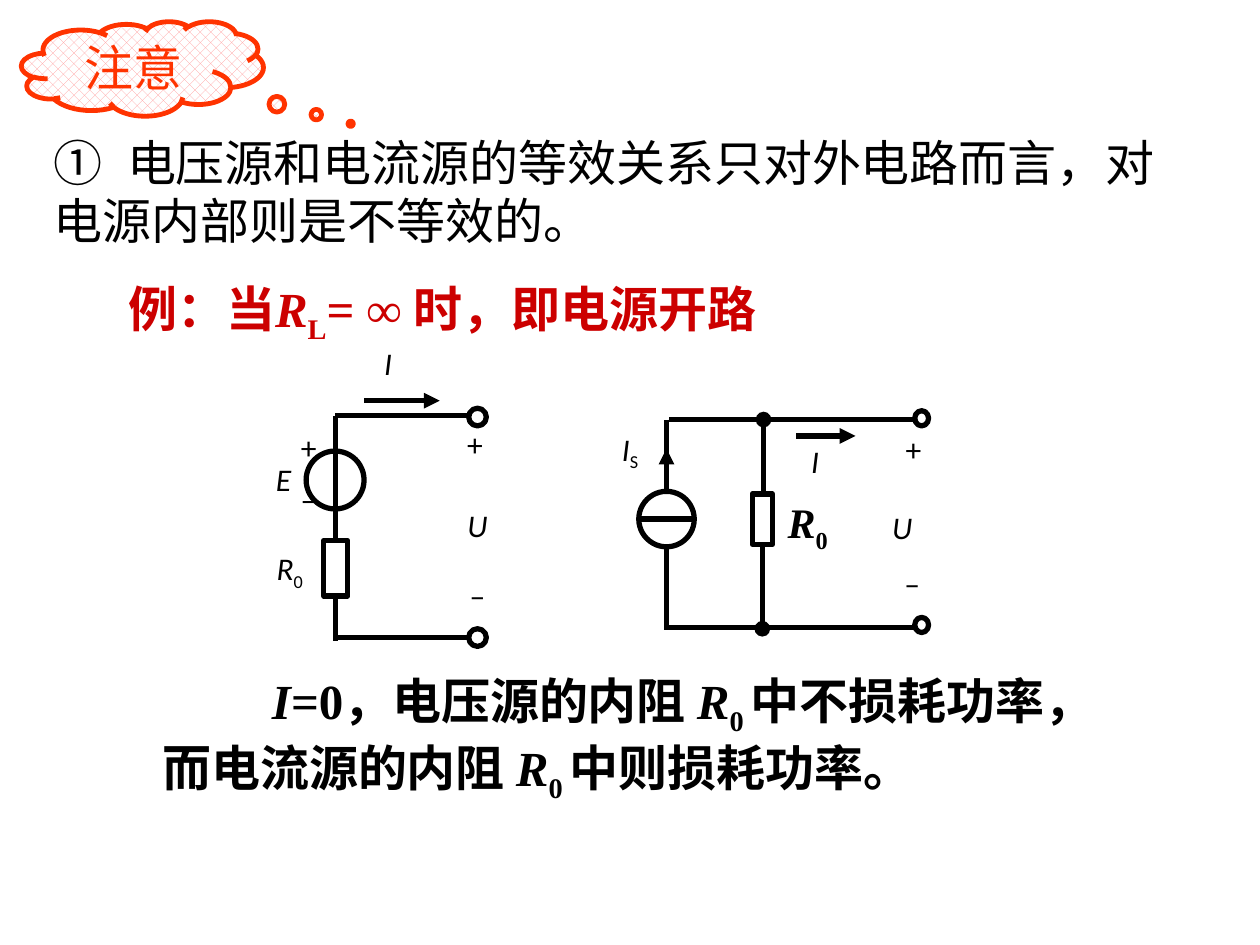
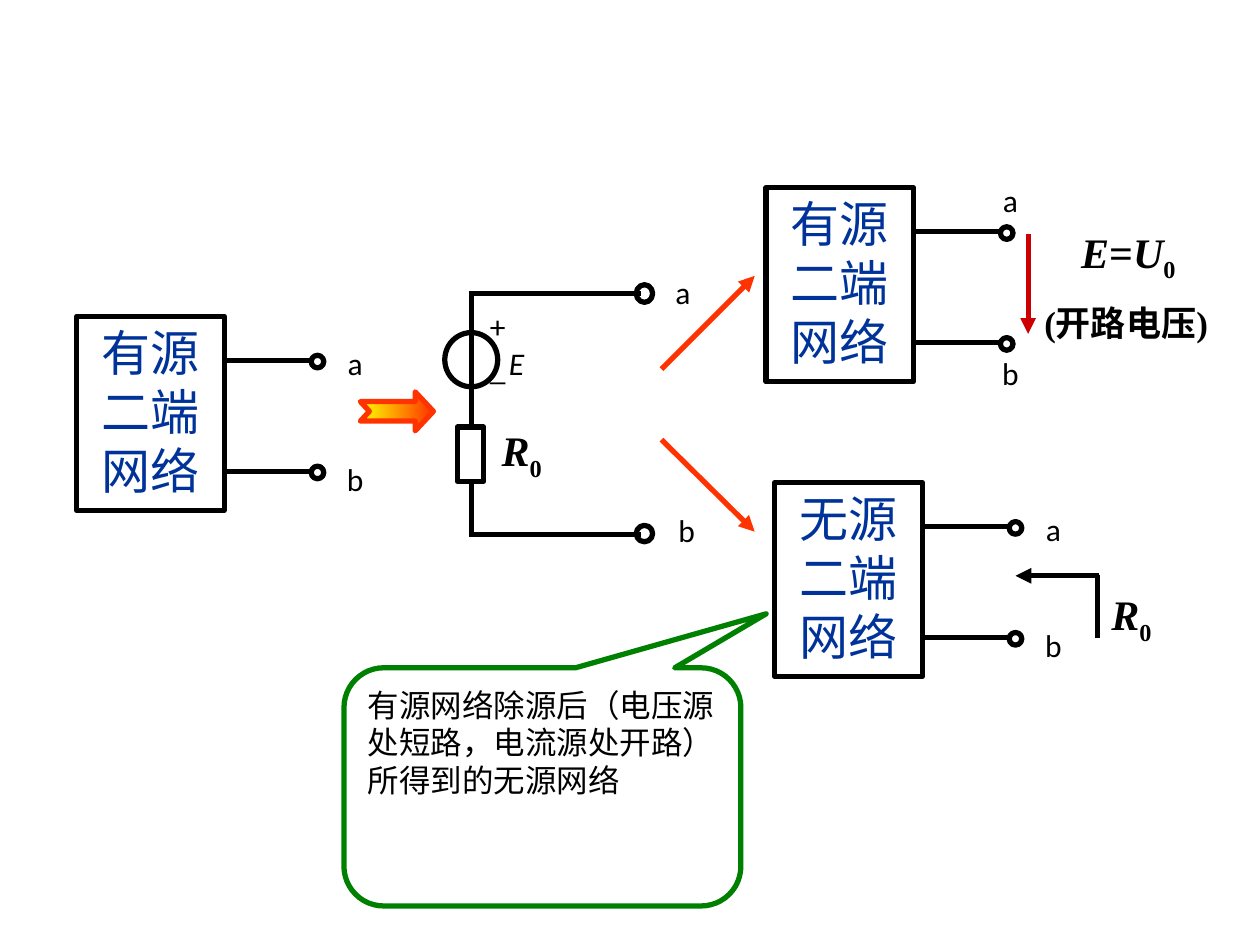
from lxml.etree import SubElement
from pptx import Presentation
from pptx.dml.color import RGBColor
from pptx.enum.dml import MSO_PATTERN
from pptx.enum.shapes import MSO_CONNECTOR, MSO_SHAPE
from pptx.enum.text import MSO_ANCHOR, PP_ALIGN
from pptx.oxml.ns import qn
from pptx.util import Inches, Pt

COLORS = {"black": "000000", "white": "FFFFFF", "red": "CC0000", "orange": "FF3300",
          "pink": "FF9999", "yellow": "FFFF00", "blue": "003399", "green": "008000"}
SANS, SERIF, CHINESE = "Calibri", "Times New Roman", "Noto Sans CJK SC"

R0 = [("R", "italic"), ("0", "sub")]
U = [("U", "italic")]
E = [("E", "italic")]
I = [("I", "italic")]
BIG = {"size": 24, "font": SERIF, "bold": True}

RULE = "①\t电压源和电流源的等效关系只对外电路而言，对电源内部则是不等效的。"
EXAMPLE = [("例：当", ""), ("R", "italic"), ("L", "sub"), ("= ∞ 时，即电源开路", "")]
CONCLUSION = [("I", "italic"), ("=0，电压源的内阻 ", ""), ("R", "italic"), ("0 ", "sub"),
              ("中不损耗功率，而电流源的内阻 ", ""), ("R", "italic"), ("0 ", "sub"),
              ("中则损耗功率。", "")]
CALLOUT = "有源网络除源后（电压源处短路，电流源处开路）所得到的无源网络"

EQUIVALENCE = {
    "wires": [
        (2.66, 3.3, 2.66, 4.29), (2.66, 4.72, 2.66, 5.09), (2.66, 3.3, 3.72, 3.3),
        (2.66, 5.06, 3.74, 5.06), (5.31, 3.33, 7.26, 3.33), (5.29, 4.98, 7.27, 4.98),
        (5.29, 3.33, 5.29, 3.89), (5.07, 4.12, 5.5, 4.12), (5.29, 4.33, 5.29, 5),
    ],
    "arrows": [
        (2.89, 3.18, 3.49, 3.18, "triangle"), (6.32, 3.46, 6.79, 3.46, "triangle"),
        (5.29, 3.72, 5.29, 3.56, "triangle"), (6.05, 4.31, 6.05, 4.99, "oval"),
        (6.06, 3.92, 6.06, 3.33, "oval"),
    ],
    "circles": [
        (2.43, 3.58, 0.46, 0.46), (3.72, 4.99, 0.14, 0.14), (3.72, 3.24, 0.14, 0.14),
        (7.26, 3.26, 0.11, 0.12), (7.26, 4.9, 0.11, 0.12), (5.07, 3.9, 0.44, 0.44),
    ],
    "resistors": [(2.57, 4.29, 0.19, 0.44), (5.97, 3.92, 0.16, 0.4)],
    "symbols": [
        (R0, 2.3, 4.53), ("+", 2.45, 3.55), ("−", 2.45, 3.97), (E, 2.25, 3.8),
        (U, 3.79, 4.17), ("+", 3.77, 3.52), ("–", 3.79, 4.72), (I, 3.08, 2.88),
        (U, 7.16, 4.18), ("+", 7.25, 3.56), ("–", 7.24, 4.63), (I, 6.47, 3.66),
        ([("I", "italic"), ("S", "sub")], 5, 3.58),
    ],
    "big_symbols": [(R0, 6.41, 4.17)],
}
THEVENIN = {
    "wires": [
        (3.72, 2.33, 5.09, 2.33), (3.74, 2.31, 3.74, 3.39), (3.74, 3.82, 3.74, 4.25),
        (3.72, 4.24, 5.09, 4.24), (8.71, 4.56, 8.71, 5.06),
    ],
    "arrows": [(8.72, 4.57, 8.06, 4.57, "triangle")],
    "circles": [(5.05, 2.26, 0.13, 0.14), (3.53, 2.64, 0.42, 0.43), (5.05, 4.17, 0.13, 0.13)],
    "resistors": [(3.63, 3.39, 0.21, 0.43)],
    "symbols": [("+", 3.95, 2.59), ("_", 3.95, 2.92), (E, 4.1, 2.88),
                ("a", 5.42, 2.32), ("b", 5.45, 4.21)],
    "big_symbols": [(R0, 4.14, 3.6), (R0, 8.98, 4.9)],
}
BESIDE = ((2.21, 0.37), (2.21, 1.29))
ABOVE_AND_BELOW = ((1.94, 0.1), (1.94, 1.47))
NETWORKS = [
    ("有源二端网络", 0.61, 2.51, BESIDE),
    ("无源二端网络", 6.15, 3.83, BESIDE),
    ("有源二端网络", 6.08, 1.49, ABOVE_AND_BELOW),
]
COLORED_ARROWS = [(5.25, 2.93, 5.99, 2.19, "orange"), (5.25, 3.49, 5.99, 4.22, "orange"),
                  (8.16, 1.86, 8.16, 2.65, "red")]


def rgb(name):
    return RGBColor.from_string(COLORS[name])


def write(paragraph, content, size=18, font=SANS, color="black", bold=False,
          align=PP_ALIGN.LEFT, space=0):
    paragraph.alignment = align
    if space:
        paragraph.space_before = Pt(space)
    for text, style in [(content, "")] if isinstance(content, str) else content:
        run = paragraph.add_run()
        run.text = text
        run.font.size = Pt(size)
        run.font.name = font
        run.font.bold = bold
        run.font.italic = style == "italic"
        run.font.color.rgb = rgb(color)
        properties = run._r.get_or_add_rPr()
        SubElement(properties, qn("a:ea")).set("typeface", CHINESE)
        if style == "sub":
            properties.set("baseline", "-25000")


def add_text(slide, content, left, top, width, height, anchor=MSO_ANCHOR.TOP, wrap=True, **text_format):
    box = slide.shapes.add_textbox(Inches(left), Inches(top), Inches(width), Inches(height))
    frame = box.text_frame
    frame.word_wrap = wrap
    frame.vertical_anchor = anchor
    write(frame.paragraphs[0], content, **text_format)
    return frame


def add_symbol(slide, content, center_x, center_y, **text_format):
    width, height = 0.8, 0.5
    add_text(slide, content, center_x - width / 2, center_y - height / 2, width, height,
             anchor=MSO_ANCHOR.MIDDLE, wrap=False, align=PP_ALIGN.CENTER, **text_format)


def add_outline(slide, kind, left, top, width, height, color="black", weight=3, adjustments=()):
    shape = slide.shapes.add_shape(kind, Inches(left), Inches(top), Inches(width), Inches(height))
    shape.shadow.inherit = False
    shape.fill.background()
    shape.line.color.rgb = rgb(color)
    shape.line.width = Pt(weight)
    for index, value in enumerate(adjustments):
        shape.adjustments[index] = value
    shape.text_frame.vertical_anchor = MSO_ANCHOR.TOP
    return shape


def add_line(slide, x1, y1, x2, y2, end=None, color="black"):
    line = slide.shapes.add_connector(MSO_CONNECTOR.STRAIGHT, Inches(x1), Inches(y1),
                                      Inches(x2), Inches(y2))
    line.line.color.rgb = rgb(color)
    line.line.width = Pt(3)
    if end:
        SubElement(line.line._get_or_add_ln(), qn("a:tailEnd")).set("type", end)
    SubElement(line._element.spPr, qn("a:effectLst"))


def draw_circuit(slide, circuit):
    for wire in circuit["wires"] + circuit["arrows"]:
        add_line(slide, *wire)
    for circle in circuit["circles"]:
        add_outline(slide, MSO_SHAPE.OVAL, *circle)
    for resistor in circuit["resistors"]:
        add_outline(slide, MSO_SHAPE.RECTANGLE, *resistor)
    for symbol in circuit["symbols"]:
        add_symbol(slide, *symbol)
    for symbol in circuit["big_symbols"]:
        add_symbol(slide, *symbol, **BIG)


def draw_network(slide, name, left, top, label_offsets):
    width, height = 1.17, 1.54
    box = add_outline(slide, MSO_SHAPE.RECTANGLE, left, top, width, height)
    box.text_frame.word_wrap = True
    write(box.text_frame.paragraphs[0], name, size=28, color="blue", align=PP_ALIGN.CENTER)
    for terminal, drop, (across, down) in zip("ab", (0.35, 1.23), label_offsets):
        add_line(slide, left + width, top + drop, left + 1.88, top + drop)
        add_outline(slide, MSO_SHAPE.OVAL, left + 1.86, top + drop - 0.04, 0.1, 0.1)
        add_symbol(slide, terminal, left + across, top + down)


def build_equivalence(slide):
    cloud = add_outline(slide, MSO_SHAPE.CLOUD_CALLOUT, 0.17, 0.17, 1.92, 0.75,
                        color="orange", weight=2.75, adjustments=(0.861, 0.583))
    cloud.fill.patterned()
    cloud.fill.pattern = MSO_PATTERN.from_xml("pct40")
    cloud.fill.fore_color.rgb = rgb("pink")
    cloud.fill.back_color.rgb = rgb("white")
    cloud.text_frame.word_wrap = False
    cloud.text_frame.vertical_anchor = MSO_ANCHOR.MIDDLE
    write(cloud.text_frame.paragraphs[0], "注意", size=28, color="orange", align=PP_ALIGN.CENTER)

    rule = add_text(slide, RULE, 0.33, 1, 9.19, 1.03, size=28)
    tabs = SubElement(rule.paragraphs[0]._p.get_or_add_pPr(), qn("a:tabLst"))
    tab = SubElement(tabs, qn("a:tab"))
    tab.set("pos", str(Inches(0.58)))
    tab.set("algn", "l")

    add_text(slide, EXAMPLE, 0.92, 2.16, 5.93, 0.57, size=28, font=SERIF, color="red", bold=True)
    conclusion = add_text(slide, CONCLUSION, 1.19, 5.27, 7.38, 1.03, size=28, font=SERIF, bold=True)
    conclusion.paragraphs[0]._p.get_or_add_pPr().set("indent", str(Inches(0.87)))
    draw_circuit(slide, EQUIVALENCE)


def build_thevenin(slide):
    callout = add_outline(slide, MSO_SHAPE.ROUNDED_RECTANGULAR_CALLOUT, 2.73, 5.3, 3.15, 1.89,
                          color="green", adjustments=(0.564, -0.727, 0.167))
    callout.text_frame.word_wrap = True
    write(callout.text_frame.paragraphs[0], CALLOUT, font=CHINESE)

    draw_circuit(slide, THEVENIN)
    for network in NETWORKS:
        draw_network(slide, *network)

    arrow = add_outline(slide, MSO_SHAPE.NOTCHED_RIGHT_ARROW, 2.86, 3.11, 0.58, 0.31,
                        color="orange", adjustments=(0.5, 0.467))
    arrow.fill.gradient()
    arrow.fill.gradient_angle = 0
    for stop, color in zip(arrow.fill.gradient_stops, ("yellow", "orange")):
        stop.color.rgb = rgb(color)
    for x1, y1, x2, y2, color in COLORED_ARROWS:
        add_line(slide, x1, y1, x2, y2, end="triangle", color=color)

    voltage = add_text(slide, E + [("=", "")] + U + [("0", "sub")], 8.19, 1.76, 1.53, 1,
                       anchor=MSO_ANCHOR.MIDDLE, align=PP_ALIGN.CENTER, **BIG)
    write(voltage.add_paragraph(), "(开路电压)", size=20, font=SERIF, bold=True, space=10)


def main():
    presentation = Presentation()
    presentation.slide_width = Inches(10)
    presentation.slide_height = Inches(7.5)
    for build in (build_equivalence, build_thevenin):
        build(presentation.slides.add_slide(presentation.slide_layouts[6]))
    presentation.save("out.pptx")


if __name__ == "__main__":
    main()
